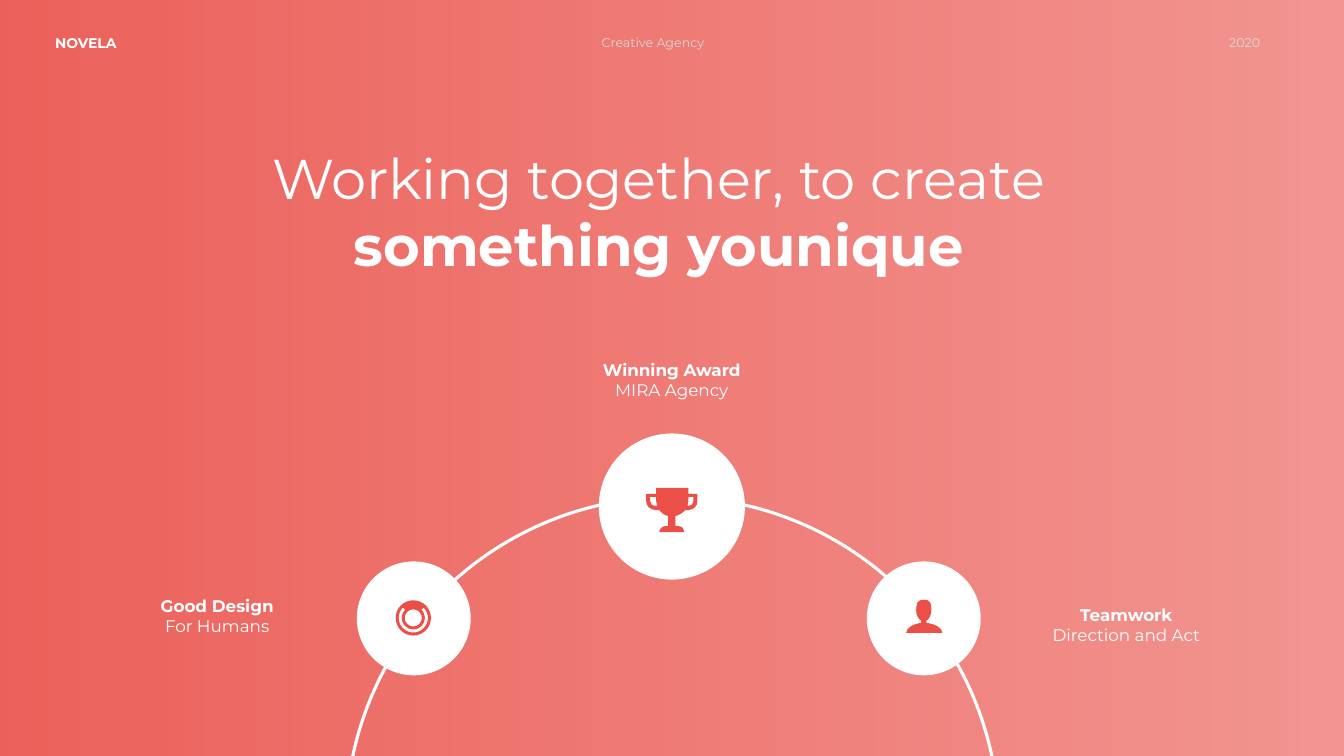
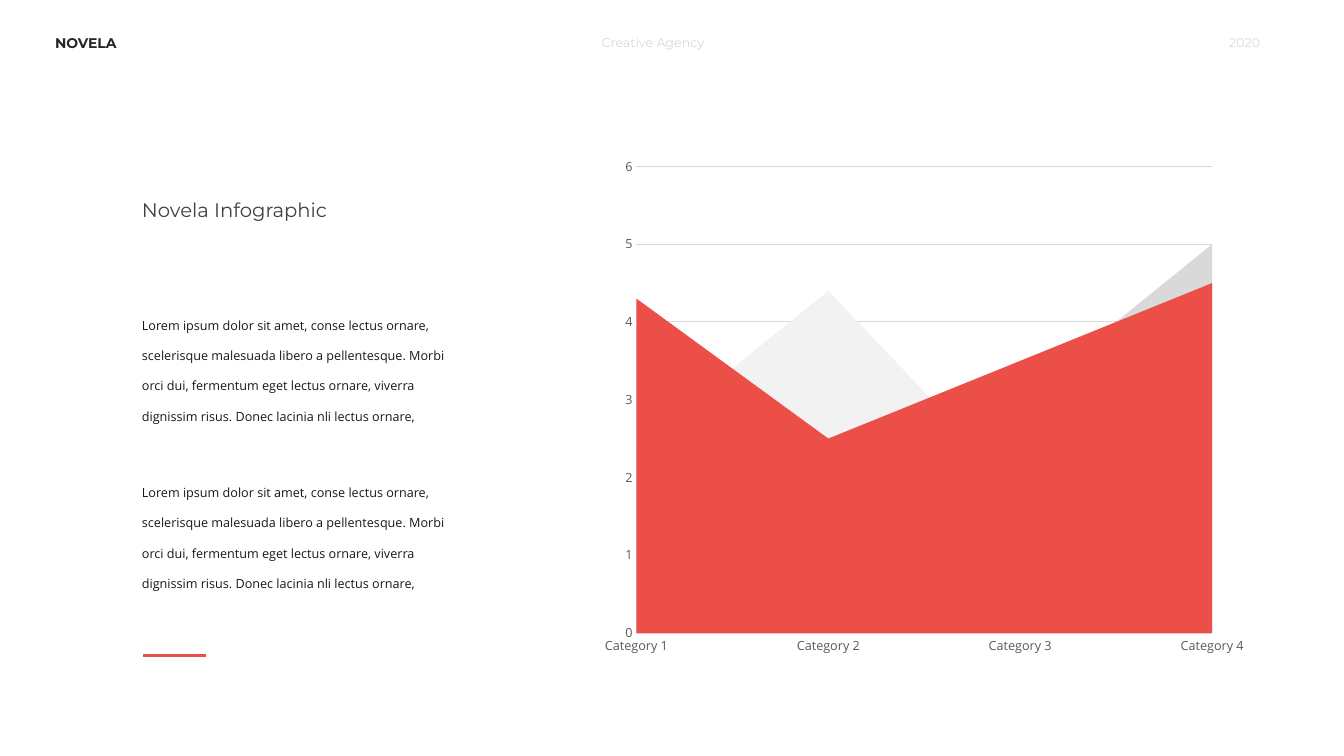
"""Build two agency slides: a team arc and an area chart infographic."""
from math import cos, radians, sin, tan

from lxml import etree
from pptx import Presentation
from pptx.chart.data import CategoryChartData
from pptx.dml.color import RGBColor
from pptx.enum.chart import XL_CHART_TYPE, XL_TICK_MARK
from pptx.enum.shapes import MSO_CONNECTOR, MSO_SHAPE
from pptx.enum.text import MSO_AUTO_SIZE, PP_ALIGN
from pptx.oxml.ns import qn
from pptx.util import Pt

PX = 9144
WIDTH, HEIGHT = 1333.33, 750
LEFT, CENTER, RIGHT = PP_ALIGN.LEFT, PP_ALIGN.CENTER, PP_ALIGN.RIGHT
GROW = MSO_AUTO_SIZE.SHAPE_TO_FIT_TEXT
RECTANGLE, OVAL = MSO_SHAPE.RECTANGLE, MSO_SHAPE.OVAL
STRAIGHT, AREA, NO_TICK = MSO_CONNECTOR.STRAIGHT, XL_CHART_TYPE.AREA, XL_TICK_MARK.NONE

RED = RGBColor(0xEB, 0x4F, 0x48)
WHITE = RGBColor(0xFF, 0xFF, 0xFF)
SILVER = RGBColor(0xD9, 0xD9, 0xD9)
PALE = RGBColor(0xF2, 0xF2, 0xF2)
AXIS_GRAY = RGBColor(0x59, 0x59, 0x59)
TITLE_GRAY = RGBColor(0x40, 0x40, 0x40)
BRAND_DARK = RGBColor(0x26, 0x26, 0x26)
BODY_DARK = RGBColor(0x18, 0x18, 0x18)
HEAD_FONT, BODY_FONT = "Montserrat", "Open Sans"

HEADLINE = [("Working together, to create ", False), ("something younique", True)]
ARC = (343, 493, 648)
BADGES = [
    ((354, 557, 113), (127, 586), "Good Design", "For Humans"),
    ((594, 430, 145), (578, 352), "Winning Award", "MIRA Agency"),
    ((860, 557, 113), (1029, 595), "Teamwork", "Direction and Act"),
]
PERSON = [[
    (919, 618), (919, 616), (922, 614, 924, 610, 924, 606),
    (924, 600, 924, 595, 917, 595), (909, 595, 909, 600, 909, 606),
    (909, 610, 911, 614, 914, 616), (914, 618),
    (906, 619, 899, 623, 899, 628), (935, 628), (935, 623, 928, 619, 919, 618),
]]
TROPHY = [
    [(683, 490), (683, 484), (651, 484), (651, 490), (641, 490), (641, 497),
     (641, 502, 645, 506, 651, 506), (652, 506, 653, 506, 654, 506),
     (656, 509, 659, 511, 663, 512), (663, 522), (660, 522),
     (657, 522, 654, 525, 654, 528), (679, 528), (679, 525, 677, 522, 673, 522),
     (670, 522), (670, 512), (674, 511, 677, 509, 680, 506),
     (681, 506, 682, 506, 683, 506), (688, 506, 692, 502, 692, 497), (692, 490)],
    [(651, 502), (647, 502, 645, 500, 645, 497), (645, 493), (651, 493),
     (651, 497), (651, 499, 651, 500, 652, 502)],
    [(688, 497), (688, 500, 686, 502, 683, 502), (682, 502),
     (682, 500, 683, 499, 683, 497), (683, 493), (688, 493)],
]
RING_CENTER = (410, 613)
RING_ARCS = [
    [(17.5, 0, 360)],
    [(8.5, 0, 360)],
    [(14.5, -45, 225), (11.5, 225, -45)],
]

INFO_TITLE = "Novela Infographic"
LOREM = ("Lorem ipsum dolor sit amet, conse lectus ornare, scelerisque malesuada "
         "libero a pellentesque. Morbi orci dui, fermentum eget lectus ornare, "
         "viverra dignissim risus. Donec lacinia nli lectus ornare,")
CATEGORIES = ["Category 1", "Category 2", "Category 3", "Category 4"]
SERIES = [
    ("Series 1", (4.3, 2.5, 3.5, 4.5), RED),
    ("Series 2", (2.4, 4.4, 1.8, 2.8), PALE),
    ("Series 3", (2, 2, 3, 5), SILVER),
]


def emu(*lengths):
    return [round(length * PX) for length in lengths]


def style_font(font, size, color, name, bold=False):
    font.size, font.name, font.bold = Pt(size), name, bold
    font.color.rgb = color


def add_text(slide, bounds, paragraphs, size, color, align=LEFT, name=HEAD_FONT, spacing=None):
    frame = slide.shapes.add_textbox(*emu(*bounds)).text_frame
    frame.word_wrap, frame.auto_size = True, GROW
    for index, spans in enumerate(paragraphs):
        para = frame.add_paragraph() if index else frame.paragraphs[0]
        para.alignment, para.line_spacing = align, spacing
        for text, bold in spans:
            span = para.add_run()
            span.text = text
            style_font(span.font, size, color, name, bold)


def add_header(slide, brand_color):
    add_text(slide, (45, 29, 107, 27), [[("NOVELA", True)]], 10, brand_color)
    for left, text, align in ((587, "Creative Agency", LEFT), (1102, "2020", RIGHT)):
        add_text(slide, (left, 30, 158, 25), [[(text, False)]], 9, SILVER, align)


def add_gradient(slide):
    panel = slide.shapes.add_shape(RECTANGLE, *emu(0, 0, WIDTH, HEIGHT))
    panel.shadow.inherit = False
    panel.line.fill.background()
    panel.fill.gradient()
    panel.fill.gradient_angle = 0
    for stop in panel.fill.gradient_stops:
        stop.color.rgb = RED
    for color, opacity in zip(panel._element.spPr.iter(qn("a:srgbClr")), (90, 60)):
        etree.SubElement(color, qn("a:alpha")).set("val", str(opacity * 1000))


def add_circle(slide, left, top, size, filled=True):
    circle = slide.shapes.add_shape(OVAL, *emu(left, top, size, size))
    circle.shadow.inherit = False
    if filled:
        circle.fill.solid()
        circle.fill.fore_color.rgb = WHITE
        circle.line.fill.background()
    else:
        circle.fill.background()
        circle.line.color.rgb = WHITE
        circle.line.width = Pt(2.25)


def arc_steps(radius, start, end):
    x, y = RING_CENTER
    count = abs(end - start) // 90
    turn = radians(end - start) / count
    reach = radius * tan(turn / 4) * 4 / 3
    steps = [(x + radius * cos(radians(start)), y + radius * sin(radians(start)))]
    for index in range(count):
        first = radians(start) + index * turn
        last = first + turn
        steps.append((
            x + radius * cos(first) - reach * sin(first),
            y + radius * sin(first) + reach * cos(first),
            x + radius * cos(last) + reach * sin(last),
            y + radius * sin(last) - reach * cos(last),
            x + radius * cos(last), y + radius * sin(last)))
    return steps


def add_icon(slide, contours):
    """Draw closed contours of points and (control, control, end) curves."""
    outlines = [[emu(*step) for step in contour] for contour in contours]
    builder = slide.shapes.build_freeform(*outlines[0][0])
    for index, (start, *rest) in enumerate(outlines):
        if index:
            builder.move_to(*start)
        builder.add_line_segments([step[-2:] for step in rest], close=True)
    icon = builder.convert_to_shape()
    icon.shadow.inherit = False
    icon.fill.solid()
    icon.fill.fore_color.rgb = RED
    icon.line.fill.background()
    segments = list(icon._element.iter(qn("a:lnTo")))
    steps = [step for outline in outlines for step in outline[1:]]
    for segment, step in zip(segments, steps):
        if len(step) == 6:
            segment.tag = qn("a:cubicBezTo")
            for index in (0, 1):
                control = etree.Element(qn("a:pt"))
                control.set("x", str(step[2 * index] - icon.left))
                control.set("y", str(step[2 * index + 1] - icon.top))
                segment.insert(index, control)


def build_team(slide):
    add_gradient(slide)
    add_header(slide, WHITE)
    add_text(slide, (206, 137, 895, 145), [HEADLINE], 40, WHITE, CENTER)
    add_circle(slide, *ARC, filled=False)
    for circle, (left, top), title, detail in BADGES:
        add_circle(slide, *circle)
        add_text(slide, (left, top, 177, 50), [[(title, True)], [(detail, False)]],
                 12, WHITE, CENTER)
    ring = [[step for arc in arcs for step in arc_steps(*arc)] for arcs in RING_ARCS]
    for contours in (PERSON, ring, TROPHY):
        add_icon(slide, contours)


def add_area_chart(slide):
    data = CategoryChartData()
    data.categories = CATEGORIES
    for name, values, _ in SERIES:
        data.add_series(name, values)
    chart = slide.shapes.add_chart(AREA, *emu(587, 146, 660, 514), data).chart
    chart.has_title = chart.has_legend = False
    style_font(chart.font, 9, AXIS_GRAY, BODY_FONT)
    plot = chart.plots[0]
    plot.vary_by_categories = False
    for series, (_, _, color) in zip(plot.series, SERIES):
        series.format.fill.solid()
        series.format.fill.fore_color.rgb = color
        series.format.line.fill.background()
    categories, values = chart.category_axis, chart.value_axis
    for axis in (categories, values):
        axis.major_tick_mark = axis.minor_tick_mark = NO_TICK
        style_font(axis.tick_labels.font, 9, AXIS_GRAY, BODY_FONT)
    categories.has_major_gridlines = False
    values.has_major_gridlines = True
    values.minimum_scale, values.maximum_scale, values.major_unit = 0, 6, 1
    values.format.line.fill.background()
    for line in (categories.format.line, values.major_gridlines.format.line):
        line.color.rgb = SILVER
        line.width = Pt(0.75)


def build_infographic(slide):
    add_header(slide, BRAND_DARK)
    add_area_chart(slide)
    for top in (461, 295):
        add_text(slide, (131, top, 327, 127), [[(LOREM, False)]], 9, BODY_DARK,
                 name=BODY_FONT, spacing=2.0)
    add_text(slide, (131, 191, 291, 34), [[(INFO_TITLE, False)]], 14, TITLE_GRAY)
    accent = slide.shapes.add_connector(STRAIGHT, *emu(142, 650, 204, 650))
    accent.line.color.rgb = RED
    accent.line.width = Pt(2.25)
    etree.SubElement(accent._element.spPr, qn("a:effectLst"))


def main():
    deck = Presentation()
    deck.slide_width, deck.slide_height = emu(WIDTH, HEIGHT)
    for build in (build_team, build_infographic):
        build(deck.slides.add_slide(deck.slide_layouts[6]))
    deck.save("out.pptx")


if __name__ == "__main__":
    main()
